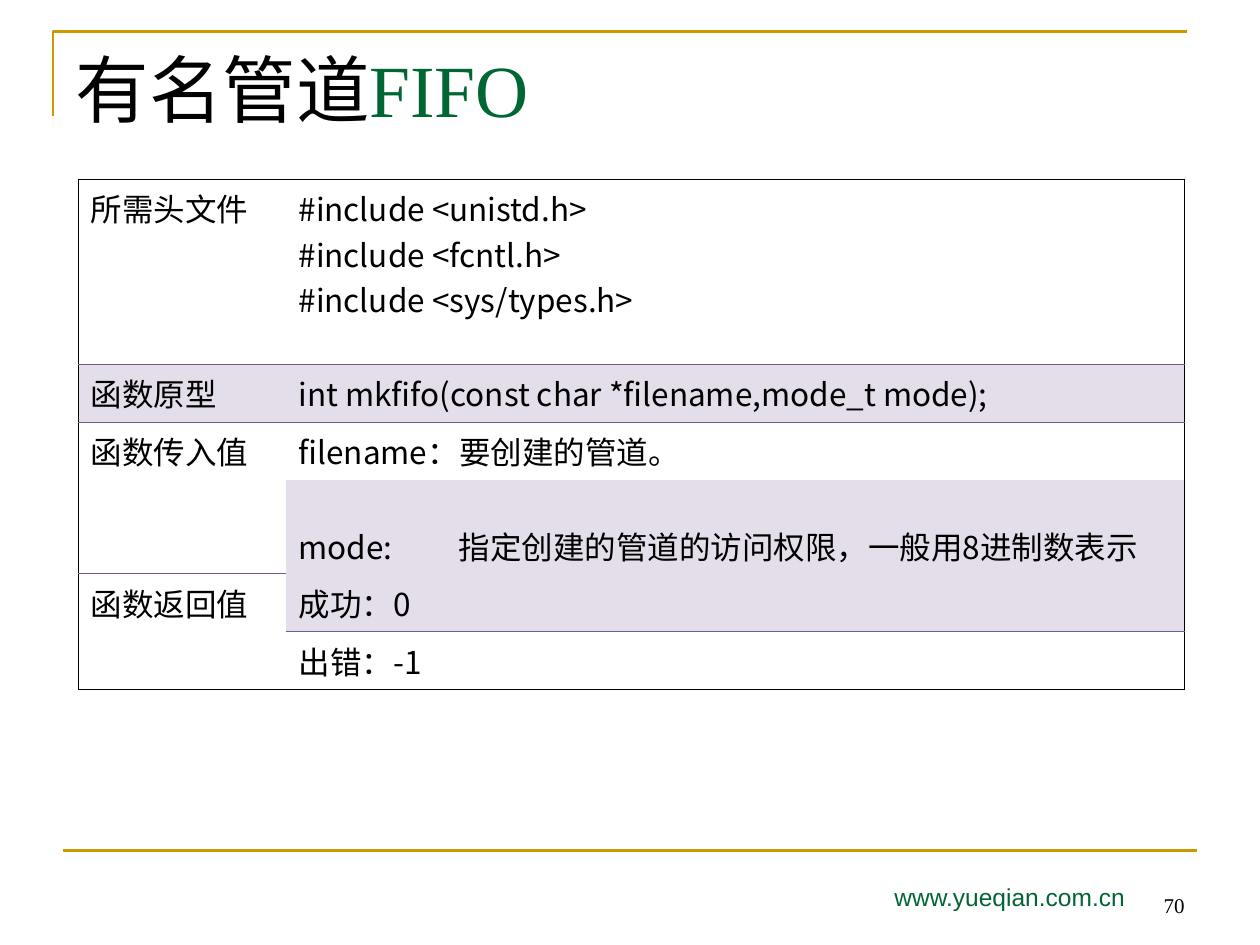
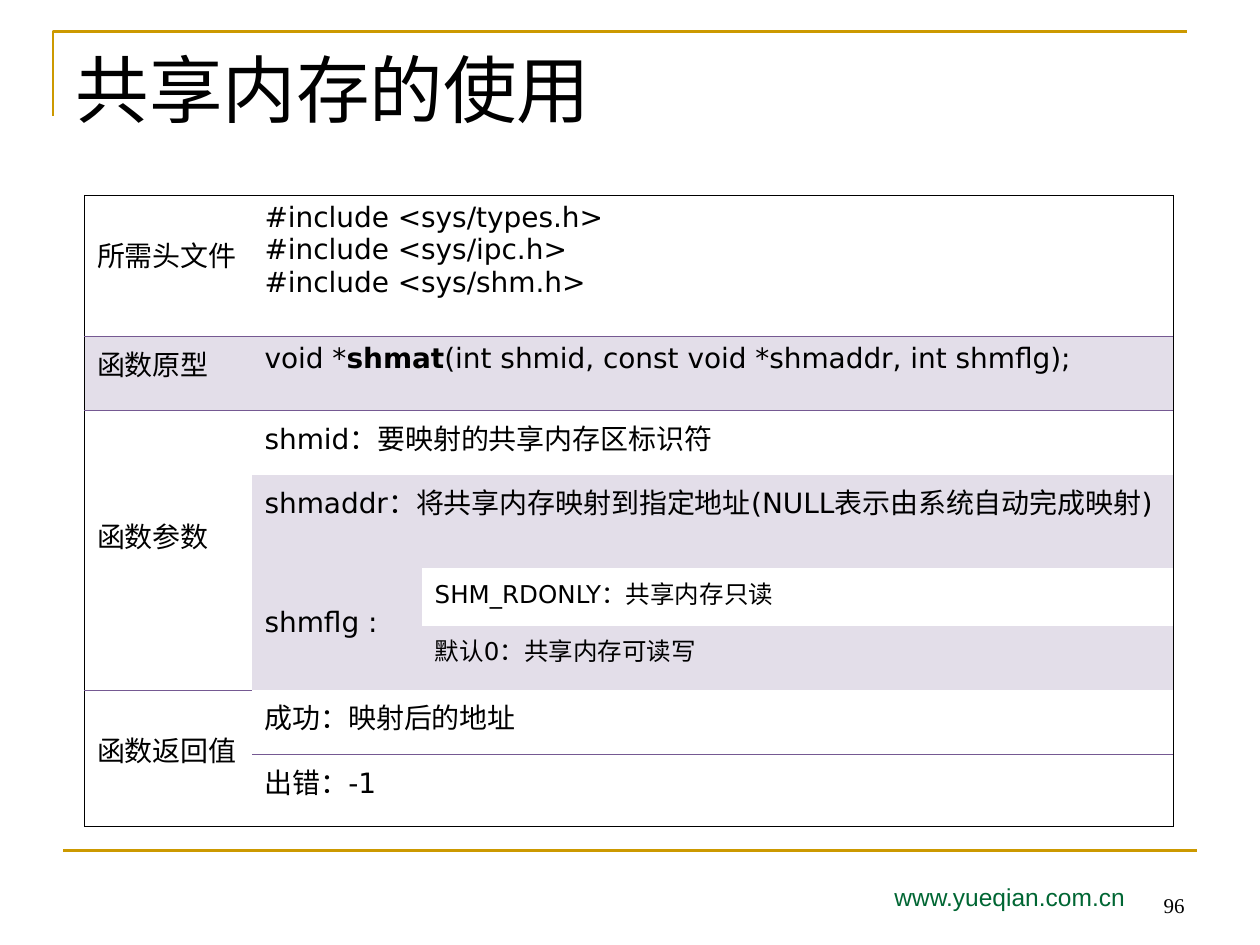
from dataclasses import dataclass
from itertools import product

from lxml.etree import SubElement
from pptx import Presentation
from pptx.dml.color import RGBColor
from pptx.enum.shapes import MSO_CONNECTOR
from pptx.enum.text import MSO_ANCHOR, MSO_AUTO_SIZE, PP_ALIGN
from pptx.oxml.ns import qn
from pptx.util import Inches, Pt

# Shared look
BLACK, GREEN, GOLD = "000000", "006633", "CC9900"
RULE, SHADE = "755992", "E3DEE9"
SERIF, SANS, CHINESE = "Times New Roman", "Arial", "Noto Sans CJK SC"
DEJAVU = "DejaVu Sans"
PLAIN_TABLE = "{2D5ABB26-0587-4C30-8999-92F81FD0307C}"
LINE_PITCH = 0.0162  # inches of one skipped line per point of text size


@dataclass
class Entry:
    """One table cell, with its place, span and text lines."""
    row: int
    col: int
    lines: list
    rows: int = 1
    cols: int = 1
    shaded: bool = False
    skip: int = 0  # lines left free above the text
    size: int = 0  # 0 takes the size of the table


def color(value):
    return RGBColor.from_string(value)


def add_span(para, text, size, font, ink=BLACK, bold=False):
    span = para.add_run()
    span.text = text
    span.font.size = Pt(size)
    span.font.name = font
    span.font.bold = bold
    span.font.color.rgb = color(ink)
    SubElement(span.font._element, qn("a:ea"), typeface=CHINESE)


def add_text(page, place, text, size, font, ink, align, anchor):
    box = page.shapes.add_textbox(*map(Inches, place))
    frame = box.text_frame
    frame.word_wrap = True
    frame.vertical_anchor = anchor
    para = frame.paragraphs[0]
    para.alignment = align
    add_span(para, text, size, font, ink)


def style_gold_line(shape):
    shape.line.color.rgb = color(GOLD)
    shape.line.width = Pt(1.5)


def add_page(deck, title_spans, number):
    page = deck.slides.add_slide(deck.slide_layouts[5])

    # Corner bracket and bottom rule
    builder = page.shapes.build_freeform(Inches(0.42), Inches(0.92))
    builder.add_line_segments(
        [(Inches(0.42), Inches(0.25)), (Inches(9.42), Inches(0.25))], close=False)
    bracket = builder.convert_to_shape()
    bracket.shadow.inherit = False
    bracket.fill.background()
    style_gold_line(bracket)
    rule = page.shapes.add_connector(
        MSO_CONNECTOR.STRAIGHT, Inches(0.5), Inches(6.75), Inches(9.5), Inches(6.75))
    style_gold_line(rule)
    SubElement(rule._element.spPr, qn("a:effectLst"))

    # Title
    title = page.shapes.title
    title.left, title.top = Inches(0.5), Inches(0.3)
    title.width, title.height = Inches(9), Inches(1.25)
    frame = title.text_frame
    frame.auto_size = MSO_AUTO_SIZE.NONE
    frame.vertical_anchor = MSO_ANCHOR.TOP
    para = frame.paragraphs[0]
    para.alignment = PP_ALIGN.LEFT
    for text, ink in title_spans:
        add_span(para, text, 42, SERIF, ink)

    # Footer
    add_text(page, (7, 6.95, 2.5, 0.4), "www.yueqian.com.cn", 14, SANS, GREEN,
             PP_ALIGN.LEFT, MSO_ANCHOR.TOP)
    add_text(page, (7.17, 6.83, 2.33, 0.5), number, 12, SERIF, BLACK,
             PP_ALIGN.RIGHT, MSO_ANCHOR.BOTTOM)
    return page


def set_borders(cell, edges):
    """Draw the edges given as a dict of side letter to colour."""
    properties = cell._tc.get_or_add_tcPr()
    for side in "LRTB":
        if side in edges:
            line = SubElement(properties, qn(f"a:ln{side}"), w=str(Pt(0.45)))
            fill = SubElement(line, qn("a:solidFill"))
            SubElement(fill, qn("a:srgbClr"), val=edges[side])


def find_edges(row, col, last_row, last_col, shape, rules):
    """Black around the table, purple where a rule runs below a grid cell."""
    edges = {}
    if col == 0:
        edges["L"] = BLACK
    if last_col == shape[1] - 1:
        edges["R"] = BLACK
    if row == 0:
        edges["T"] = BLACK
    elif (row - 1, col) in rules:
        edges["T"] = RULE
    if last_row == shape[0] - 1:
        edges["B"] = BLACK
    elif (last_row, col) in rules:
        edges["B"] = RULE
    return edges


def fill_cell(cell, entry, size, font):
    size = entry.size or size
    cell.margin_top = Inches(0.05 + entry.skip * size * LINE_PITCH)
    cell.vertical_anchor = MSO_ANCHOR.TOP
    frame = cell.text_frame
    for index, line in enumerate(entry.lines):
        para = frame.add_paragraph() if index else frame.paragraphs[0]
        spans = [(line, False)] if isinstance(line, str) else line
        for text, bold in spans:
            add_span(para, text, size, font, bold=bold)


def add_grid(page, left, top, widths, heights, entries, rules, size, font):
    shape = len(heights), len(widths)
    frame = page.shapes.add_table(*shape, Inches(left), Inches(top),
                                  Inches(sum(widths)), Inches(sum(heights)))
    table = frame.table
    table.first_row = table.horz_banding = False
    table._tbl.tblPr.find(qn("a:tableStyleId")).text = PLAIN_TABLE
    for column, width in zip(table.columns, widths):
        column.width = Inches(width)
    for row, height in zip(table.rows, heights):
        row.height = Inches(height)

    for entry in entries:
        last_row = entry.row + entry.rows - 1
        last_col = entry.col + entry.cols - 1
        origin = table.cell(entry.row, entry.col)
        if entry.rows * entry.cols > 1:
            origin.merge(table.cell(last_row, last_col))
        places = product(range(entry.row, last_row + 1), range(entry.col, last_col + 1))
        for row, col in places:
            cell = table.cell(row, col)
            is_origin = (row, col) == (entry.row, entry.col)
            end = (last_row, last_col) if is_origin else (row, col)
            set_borders(cell, find_edges(row, col, *end, shape, rules))
            if entry.shaded:
                cell.fill.solid()
                cell.fill.fore_color.rgb = color(SHADE)
            else:
                cell.fill.background()
        fill_cell(origin, entry, size, font)


def rules_below(header, parameters, success):
    """Rules under the headers, the parameter label and the success value."""
    return {(header, 0), (header, 1), (header, 2),
            (parameters, 0), (success, 1), (success, 2)}


def add_fifo_page(deck):
    page = add_page(deck, [("有名管道", BLACK), ("FIFO", GREEN)], "70")
    entries = [
        Entry(0, 0, ["所需头文件"]),
        Entry(0, 1, ["#include <unistd.h>", "#include <fcntl.h>",
                     "#include <sys/types.h>"], cols=2),
        Entry(1, 0, ["函数原型"], shaded=True),
        Entry(1, 1, ["int mkfifo(const char *filename,mode_t mode);"],
              cols=2, shaded=True),
        Entry(2, 0, ["函数传入值"], rows=2),
        Entry(2, 1, ["filename：要创建的管道。"], cols=2),
        Entry(3, 1, ["mode:"], shaded=True, skip=1),
        Entry(3, 2, ["指定创建的管道的访问权限，一般用8进制数表示"],
              shaded=True, skip=1),
        Entry(4, 0, ["函数返回值"], rows=2),
        Entry(4, 1, ["成功：0"], cols=2, shaded=True),
        Entry(5, 1, ["出错：-1"], cols=2),
    ]
    add_grid(page, 0.62, 1.42, [1.65, 1.27, 5.86],
             [1.47, 0.46, 0.46, 0.74, 0.46, 0.46],
             entries, rules_below(0, 3, 4), 18, CHINESE)


def add_shared_memory_page(deck):
    page = add_page(deck, [("共享内存的使用", BLACK)], "96")
    prototype = [("void *", False), ("shmat", True),
                 ("(int shmid, const void *shmaddr, int shmflg);", False)]
    entries = [
        Entry(0, 0, ["所需头文件"], skip=1),
        Entry(0, 1, ["#include <sys/types.h>", "#include <sys/ipc.h>",
                     "#include <sys/shm.h>"], cols=2),
        Entry(1, 0, ["函数原型"], shaded=True),
        Entry(1, 1, [prototype], cols=2, shaded=True),
        Entry(2, 0, ["函数参数"], rows=4, skip=3),
        Entry(2, 1, ["shmid：要映射的共享内存区标识符"], cols=2),
        Entry(3, 1, ["shmaddr：将共享内存映射到指定地址(NULL表示由系统自动完成映射)"],
              cols=2, shaded=True),
        Entry(4, 1, ["shmflg :"], rows=2, shaded=True, skip=1),
        Entry(4, 2, ["SHM_RDONLY：共享内存只读"], size=14),
        Entry(5, 2, ["默认0：共享内存可读写"], shaded=True, size=14),
        Entry(6, 0, ["函数返回值"], rows=2, skip=1),
        Entry(6, 1, ["成功：映射后的地址"], cols=2),
        Entry(7, 1, ["出错：-1"], cols=2),
    ]
    add_grid(page, 0.67, 1.55, [1.33, 1.35, 5.96],
             [1.12, 0.59, 0.51, 0.74, 0.46, 0.51, 0.51, 0.57],
             entries, rules_below(0, 5, 6), 16, DEJAVU)


def main():
    deck = Presentation()
    deck.slide_width, deck.slide_height = Inches(10), Inches(7.5)
    add_fifo_page(deck)
    add_shared_memory_page(deck)
    deck.save("out.pptx")


if __name__ == "__main__":
    main()
